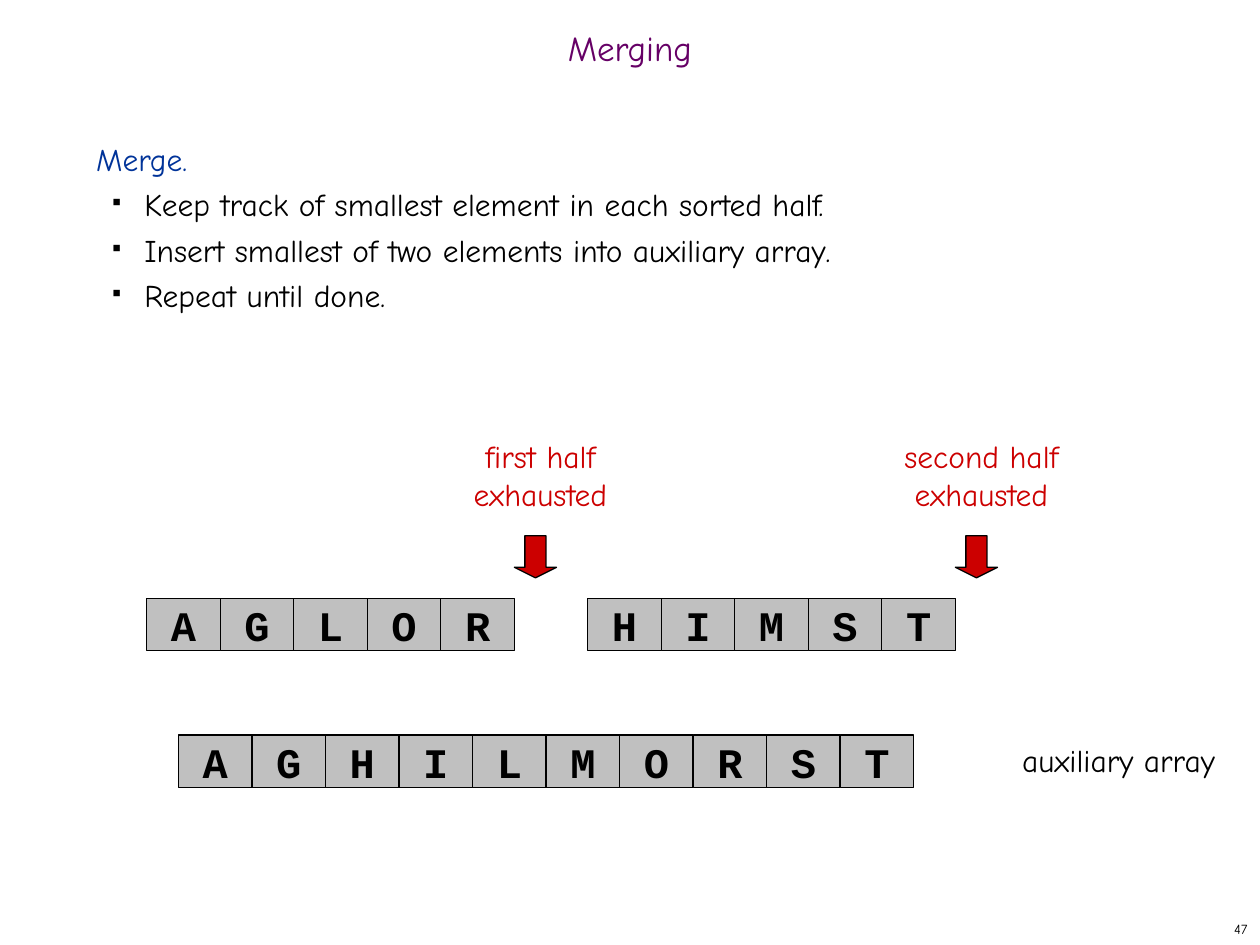
import lxml.etree
import pptx
import pptx.dml.color
import pptx.enum.shapes
import pptx.enum.text
import pptx.oxml.ns
import pptx.util

Cm = pptx.util.Cm
Pt = pptx.util.Pt
Color = pptx.dml.color.RGBColor
Align = pptx.enum.text.PP_ALIGN
Anchor = pptx.enum.text.MSO_ANCHOR
Shape = pptx.enum.shapes.MSO_SHAPE

BLACK = Color(0x00, 0x00, 0x00)
GRAY = Color(0xC0, 0xC0, 0xC0)
RED = Color(0xCC, 0x00, 0x00)
BLUE = Color(0x00, 0x33, 0x99)
PURPLE = Color(0x66, 0x00, 0x66)
SANS = "Comic Neue"
MONO = "Courier New"


def style(para, size, color, name=SANS, bold=False):
    para.font.size = Pt(size)
    para.font.name = name
    para.font.bold = bold
    para.font.color.rgb = color


def label(slide, box, text, size=18, color=BLACK, align=Align.CENTER, anchor=Anchor.TOP):
    frame = slide.shapes.add_textbox(*map(Cm, box)).text_frame
    frame.word_wrap = True
    frame.vertical_anchor = anchor
    frame.text = text
    para = frame.paragraphs[0]
    para.alignment = align
    style(para, size, color)


def block(shapes, kind, box, fill):
    shape = shapes.add_shape(kind, *map(Cm, box))
    shape.shadow.inherit = False
    shape.fill.solid()
    shape.fill.fore_color.rgb = fill
    shape.line.color.rgb = BLACK
    shape.line.width = Pt(0.75)
    return shape


def row(slide, box, word):
    left, top, width, height = box
    step = width / len(word)
    group = slide.shapes.add_group_shape()
    for i, char in enumerate(word):
        cell = block(group.shapes, Shape.RECTANGLE, (left + i * step, top, step, height), GRAY)
        frame = cell.text_frame
        frame.word_wrap = False
        frame.vertical_anchor = Anchor.MIDDLE
        frame.text = char
        para = frame.paragraphs[0]
        para.alignment = Align.CENTER
        style(para, 24, BLACK, MONO, True)


def half(slide, box, word, note):
    left, top, width, height = box
    label(slide, (left + 5.29, top, 5.29, 1.78), note, color=RED)
    arrow = block(slide.shapes, Shape.DOWN_ARROW, (left + width, top + 2.12, 0.85, 0.85), RED)
    arrow.adjustments[0] = 0.5
    arrow.adjustments[1] = 0.25
    row(slide, (left, top + height - 1.06, width, 1.06), word)


def title(slide, box, text):
    shape = slide.shapes.title
    shape.left, shape.top, shape.width, shape.height = map(Cm, box)
    frame = shape.text_frame
    frame.auto_size = pptx.enum.text.MSO_AUTO_SIZE.NONE
    frame.vertical_anchor = Anchor.MIDDLE
    frame.text = text
    para = frame.paragraphs[0]
    para.alignment = Align.CENTER
    para.line_spacing = 0.7
    style(para, 20, PURPLE)


def bullet(para):
    props = para._p.get_or_add_pPr()
    props.set("marL", str(Cm(0.97)))
    props.set("indent", str(-Cm(0.64)))
    qn = pptx.oxml.ns.qn
    tint = lxml.etree.SubElement(props, qn("a:buClr"))
    lxml.etree.SubElement(tint, qn("a:srgbClr"), val=str(BLACK))
    lxml.etree.SubElement(props, qn("a:buSzPct"), val="35000")
    lxml.etree.SubElement(props, qn("a:buChar"), char="■")


def body(slide, box, head, items):
    frame = slide.shapes.add_textbox(*map(Cm, box)).text_frame
    frame.word_wrap = True
    frame.text = "\n".join([head, *items])
    for i, para in enumerate(frame.paragraphs):
        if i:
            para.level = 1
            bullet(para)
        para.line_spacing = Pt(26)
        style(para, 18, BLACK if i else BLUE)


def main():
    deck = pptx.Presentation()
    deck.slide_width, deck.slide_height = Cm(25.4), Cm(19.05)
    slide = deck.slides.add_slide(deck.slide_layouts[5])
    title(slide, (0, 0.42, 25.4, 1.27), "Merging")
    body(slide, (1.69, 2.54, 21.8, 5.6), "Merge.", [
        "Keep track of smallest element in each sorted half.",
        "Insert smallest of two elements into auxiliary array.",
        "Repeat until done.",
    ])
    half(slide, (2.96, 8.68, 7.41, 4.44), "AGLOR", "first half\vexhausted")
    half(slide, (11.85, 8.68, 7.41, 4.44), "HIMST", "second half\vexhausted")
    row(slide, (3.6, 14.82, 14.82, 1.06), "AGHILMORST")
    label(slide, (20.11, 14.82, 4.88, 1.02), "auxiliary array")
    label(slide, (20.11, 18.42, 5.29, 0.63), "47", 8, align=Align.RIGHT, anchor=Anchor.MIDDLE)
    deck.save("out.pptx")


if __name__ == "__main__":
    main()
